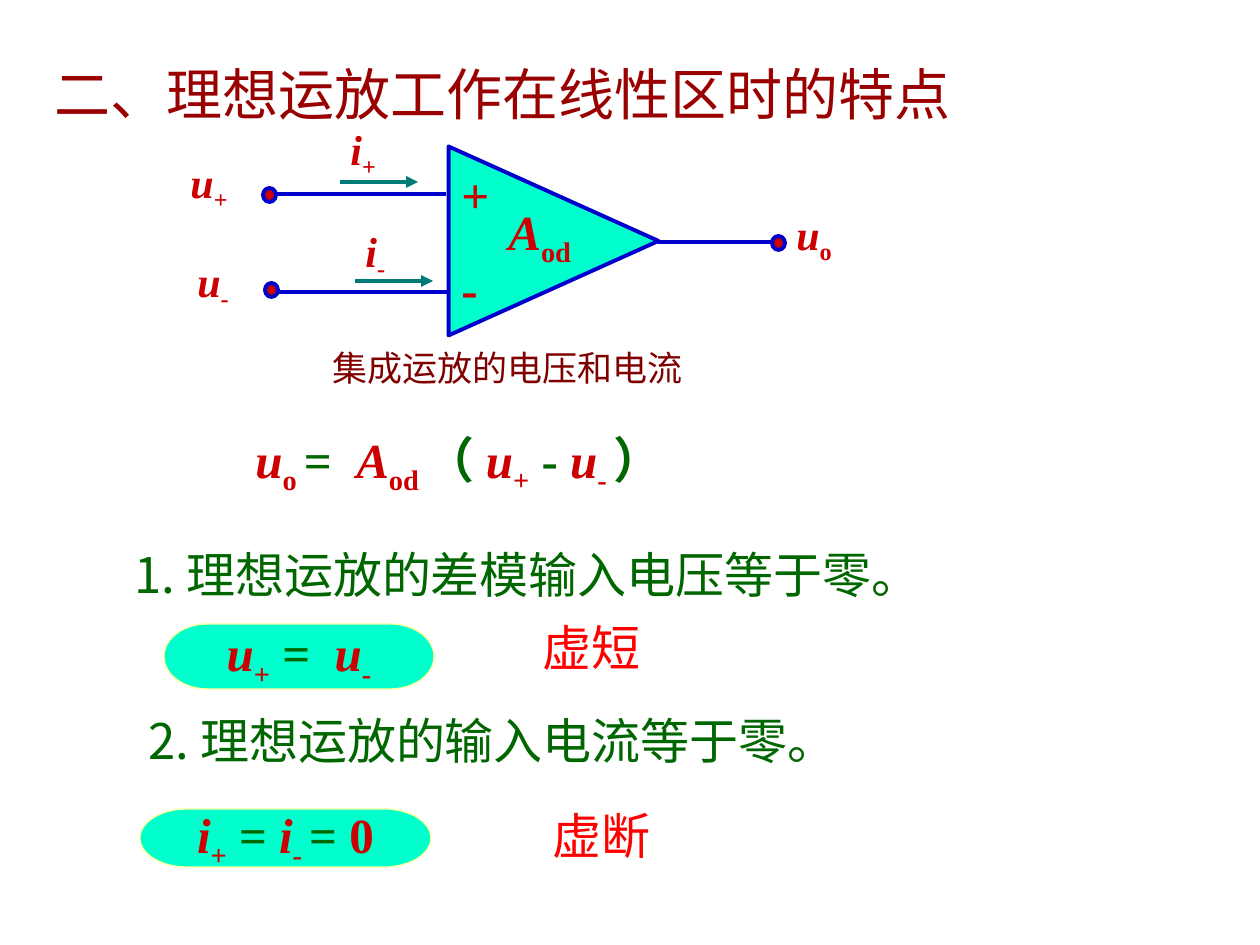
from dataclasses import dataclass

from pptx import Presentation
from pptx.dml.color import RGBColor
from pptx.enum.shapes import MSO_CONNECTOR, MSO_SHAPE
from pptx.enum.text import MSO_ANCHOR, MSO_AUTO_SIZE, PP_ALIGN
from pptx.oxml.ns import qn
from pptx.util import Emu, Pt
from lxml.etree import SubElement

PX = 914400 / 126


@dataclass(frozen=True)
class Theme:
    latin: str = "Times New Roman"
    cjk: str = "Noto Sans CJK SC"
    title: str = "990000"
    caption: str = "800000"
    symbol: str = "CC0000"
    operator: str = "006600"
    remark: str = "FF0000"
    fill: str = "00FFCC"
    wire: str = "0000CC"
    arrow: str = "007A77"
    pill_line: str = "FFFF99"
    title_size: int = 32
    body_size: int = 28
    label_size: int = 24
    caption_size: int = 20
    wire_width: float = 2.25
    pill_width: float = 0.75


T = Theme()


def px(*lengths):
    return [Emu(round(n * PX)) for n in lengths]


def rgb(color):
    return RGBColor.from_string(color)


def add_run(p, text, size, color, font=T.latin, bold=None, italic=None):
    r = p.add_run()
    r.text = text
    f = r.font
    f.size, f.name, f.bold, f.italic = Pt(size), font, bold, italic
    f.color.rgb = rgb(color)
    SubElement(r._r.get_or_add_rPr(), qn("a:ea")).set("typeface", T.cjk)
    return r


def add_formula(p, parts, size):
    """Add (kind, text) parts: var is italic, sub is lowered, op is an operator, num is upright."""
    for kind, text in parts:
        color = T.operator if kind == "op" else T.symbol
        r = add_run(p, text, size, color, bold=True, italic=kind == "var")
        if kind == "sub":
            r._r.get_or_add_rPr().set("baseline", "-25000")


def add_box(s, box):
    tf = s.shapes.add_textbox(*px(*box)).text_frame
    tf.word_wrap = True
    tf.auto_size = MSO_AUTO_SIZE.SHAPE_TO_FIT_TEXT
    return tf.paragraphs[0]


def fill_placeholder(sp, box, text, size, color, font):
    sp.left, sp.top, sp.width, sp.height = px(*box)
    tf = sp.text_frame
    tf.word_wrap, tf.auto_size = True, MSO_AUTO_SIZE.NONE
    tf.vertical_anchor = MSO_ANCHOR.TOP
    p = tf.paragraphs[0]
    p.alignment, p.space_before = PP_ALIGN.LEFT, Pt(0)
    pPr = p._p.get_or_add_pPr()
    pPr.set("marL", "0")
    pPr.set("indent", "0")
    SubElement(pPr, qn("a:buNone"))
    add_run(p, text, size, color, font)


def add_shape(s, kind, box, fill, line, width):
    sp = s.shapes.add_shape(kind, *px(*box))
    sp.shadow.inherit = False
    sp.fill.solid()
    sp.fill.fore_color.rgb = rgb(fill)
    sp.line.color.rgb = rgb(line)
    sp.line.width = Pt(width)
    return sp


def add_pill(s, box, parts):
    sp = add_shape(s, MSO_SHAPE.FLOWCHART_TERMINATOR, box, T.fill, T.pill_line, T.pill_width)
    tf = sp.text_frame
    tf.word_wrap, tf.vertical_anchor = False, MSO_ANCHOR.MIDDLE
    # The preset's own text area is narrower than the pill
    p = tf.paragraphs[0]
    p.alignment = PP_ALIGN.CENTER
    add_formula(p, parts, T.body_size)


def add_wire(s, x1, x2, y, color, arrow=False):
    c = s.shapes.add_connector(MSO_CONNECTOR.STRAIGHT, *px(x1, y, x2, y))
    c.line.color.rgb = rgb(color)
    c.line.width = Pt(T.wire_width)
    if arrow:
        SubElement(c.line._get_or_add_ln(), qn("a:tailEnd")).set("type", "triangle")
    SubElement(c._element.spPr, qn("a:effectLst"))


def add_circuit(s):
    amp = add_shape(s, MSO_SHAPE.ISOSCELES_TRIANGLE, (459, 136, 189, 210), T.fill, T.wire, T.wire_width)
    amp.rotation = 90
    add_formula(add_box(s, (496, 195, 105, 79)), [("var", "A"), ("sub", "od")], T.body_size)
    for sign, y in (("+", 158), ("-", 252)):
        add_formula(add_box(s, (449, y, 63, 72)), [("num", sign)], T.body_size)

    for x1, x2, y in ((273, 446, 194), (277, 449, 292), (658, 774, 242)):
        add_wire(s, x1, x2, y, T.wire)
    for x1, x2, y in ((340, 418, 182), (355, 433, 281)):
        add_wire(s, x1, x2, y, T.arrow, arrow=True)
    for x, y in ((263, 188), (265, 283), (772, 236)):
        add_shape(s, MSO_SHAPE.OVAL, (x, y, 13, 14), T.symbol, T.wire, T.wire_width)

    for name, sub, x, y, w in (("u", "+", 178, 150, 92), ("u", "-", 185, 249, 92),
                               ("i", "+", 338, 117, 92), ("i", "-", 353, 219, 76),
                               ("u", "o", 784, 202, 81)):
        add_formula(add_box(s, (x, y, w, 71)), [("var", name), ("sub", sub)], T.label_size)
    add_run(add_box(s, (320, 340, 508, 55)), "集成运放的电压和电流", T.caption_size, T.caption)


def main():
    prs = Presentation()
    prs.slide_width, prs.slide_height = px(1260, 945)
    s = prs.slides.add_slide(prs.slide_layouts.get_by_name("Two Content"))
    title, first, second = list(s.placeholders)[:3]

    fill_placeholder(title, (42, 53, 1133, 81), "二、理想运放工作在线性区时的特点",
                     T.title_size, T.title, T.latin)
    fill_placeholder(first, (122, 538, 946, 72), "1. 理想运放的差模输入电压等于零。",
                     T.body_size, T.operator, T.cjk)
    fill_placeholder(second, (136, 704, 840, 72), "2. 理想运放的输入电流等于零。",
                     T.body_size, T.operator, T.cjk)

    add_circuit(s)
    add_formula(add_box(s, (243, 423, 614, 79)),
                [("var", "u"), ("sub", "o "), ("op", "=  "), ("var", "A"), ("sub", "od "),
                 ("op", "（ "), ("var", "u"), ("sub", "+"), ("op", " - "), ("var", "u"),
                 ("sub", "- "), ("op", "）")], T.body_size)
    add_pill(s, (164, 624, 270, 65),
             [("var", "u"), ("sub", "+"), ("op", " =  "), ("var", "u"), ("sub", "-")])
    add_pill(s, (140, 809, 291, 58),
             [("var", "i"), ("sub", "+"), ("op", " = "), ("var", "i"), ("sub", "- "),
              ("op", "= "), ("num", "0")])
    for text, box in (("虚短", (530, 611, 294, 72)), ("虚断", (540, 799, 241, 72))):
        add_run(add_box(s, box), text, T.body_size, T.remark, T.cjk)

    prs.save("out.pptx")


if __name__ == "__main__":
    main()
